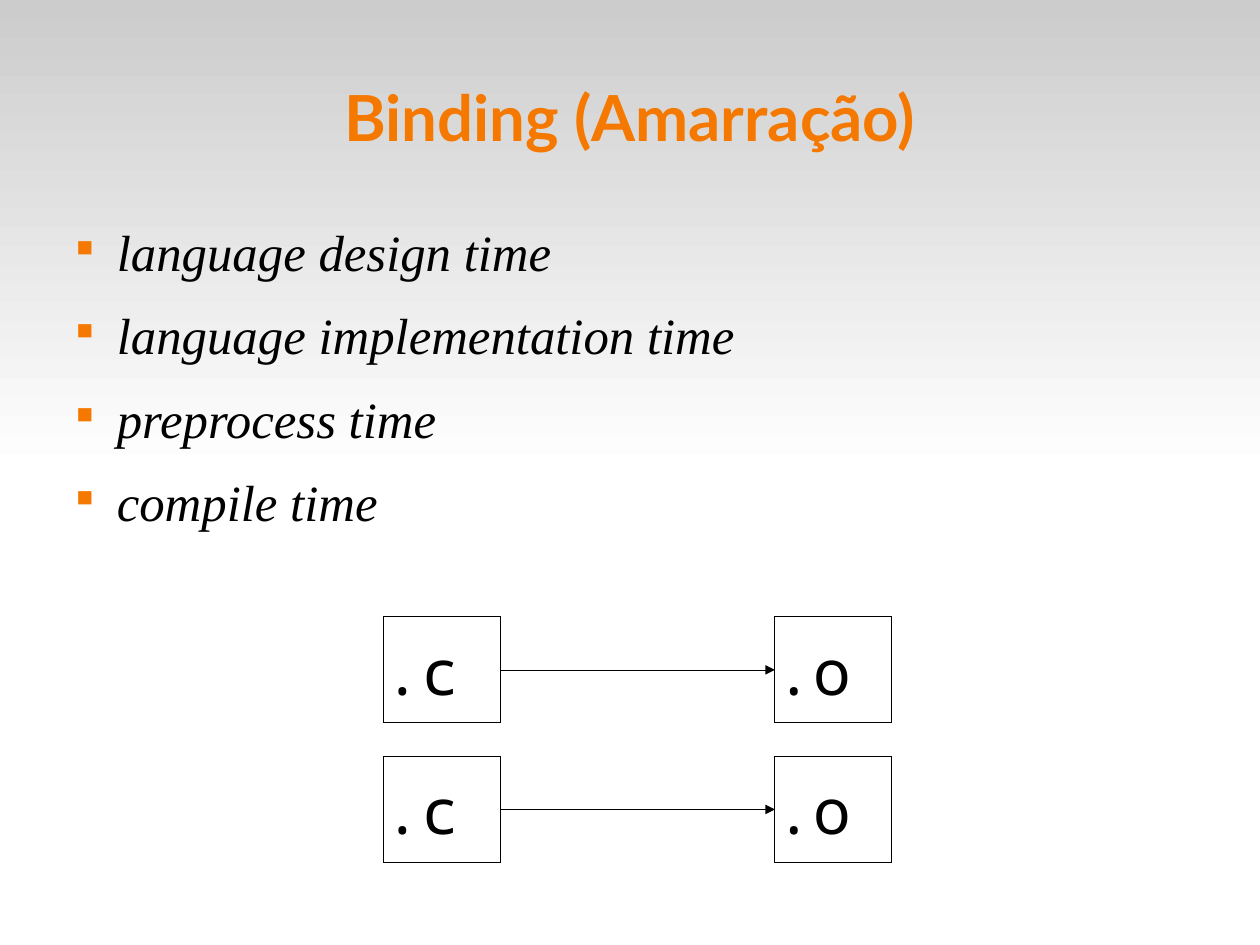
from lxml import etree
from pptx import Presentation
from pptx.dml.color import RGBColor
from pptx.enum import shapes, text
from pptx.oxml.ns import qn
from pptx.util import Pt

# Content
TITLE = "Binding (Amarração)"
TIMES = ["language design time", "language implementation time",
         "preprocess time", "compile time"]
FILES = (".c", ".o")
ORANGE, BLACK, WHITE, GREY = "F57900", "000000", "FFFFFF", "CCCCCC"

# Layout in points
PAGE_W, PAGE_H = 793.75, 595.25
MARGIN, TEXT_W = 39.6, 714.3
FILE_X, FILE_Y = (241.6, 488.2), (388.5, 476.4)
FILE_W, FILE_H = 73.7, 66.9


def colour(value):
    return RGBColor.from_string(value)


def style(para, font, size, ink, bold=False, italic=False):
    for span in para.runs:
        span.font.name, span.font.size = font, Pt(size)
        span.font.bold, span.font.italic = bold, italic
        span.font.color.rgb = colour(ink)


def set_frame(box, anchor):
    frame = box.text_frame
    frame.word_wrap = True
    frame.vertical_anchor = anchor
    frame.margin_left = frame.margin_right = Pt(0)
    frame.margin_top = frame.margin_bottom = Pt(0)
    return frame


def add_text(top, height, anchor):
    box = page.shapes.add_textbox(Pt(MARGIN), Pt(top), Pt(TEXT_W), Pt(height))
    return set_frame(box, anchor)


def add_rect(left, top, width, height):
    box = page.shapes.add_shape(shapes.MSO_SHAPE.RECTANGLE,
                                Pt(left), Pt(top), Pt(width), Pt(height))
    box.shadow.inherit = False
    return box


def add_bullet(para):
    props = para._p.get_or_add_pPr()
    props.set("marL", str(Pt(34)))
    props.set("indent", str(-Pt(25.5)))
    ink = etree.SubElement(props, qn("a:buClr"))
    etree.SubElement(ink, qn("a:srgbClr"), val=ORANGE)
    etree.SubElement(props, qn("a:buSzPct"), val="45000")
    etree.SubElement(props, qn("a:buChar"), char="■")


def set_hairline(shape):
    shape.line.color.rgb = colour(BLACK)
    line = shape._element.spPr.find(qn("a:ln"))
    line.set("w", "0")  # an explicit zero overrides the theme width
    return line


def add_file(left, top, name):
    box = add_rect(left, top, FILE_W, FILE_H)
    box.fill.solid()
    box.fill.fore_color.rgb = colour(WHITE)
    set_hairline(box)
    para = set_frame(box, text.MSO_ANCHOR.MIDDLE).paragraphs[0]
    para.text = name
    para.alignment = text.PP_ALIGN.LEFT
    style(para, "Noto Sans Mono", 40, BLACK)
    return box


def add_arrow(source, target):
    arrow = page.shapes.add_connector(shapes.MSO_CONNECTOR.STRAIGHT, 0, 0, 0, 0)
    arrow.begin_connect(source, 3)
    arrow.end_connect(target, 1)
    etree.SubElement(set_hairline(arrow), qn("a:tailEnd"), type="triangle")
    etree.SubElement(arrow._element.spPr, qn("a:effectLst"))


deck = Presentation()
deck.slide_width, deck.slide_height = Pt(PAGE_W), Pt(PAGE_H)
page = deck.slides.add_slide(deck.slide_layouts[6])

# Grey fade over the top half
fade = add_rect(0, 0, PAGE_W, PAGE_H / 2)
fade.line.fill.background()
fade.fill.gradient()
fade.fill.gradient_angle = 270
for stop, ink, place in zip(fade.fill.gradient_stops, (GREY, WHITE), (0, 1)):
    stop.color.rgb = colour(ink)
    stop.position = place

# Title
heading = add_text(23.5, 99.2, text.MSO_ANCHOR.MIDDLE).paragraphs[0]
heading.text = TITLE
heading.alignment = text.PP_ALIGN.CENTER
style(heading, "Lato", 40, ORANGE, bold=True)

# Binding times
body = add_text(138.96, 393.12, text.MSO_ANCHOR.TOP)
body.text = "\n".join(TIMES)
for para in body.paragraphs:
    para.space_after = Pt(14.2)
    add_bullet(para)
    style(para, "Times New Roman", 32, BLACK, italic=True)

# Source files compiled to object files
for top in FILE_Y:
    source, target = [add_file(left, top, name)
                      for left, name in zip(FILE_X, FILES)]
    add_arrow(source, target)

deck.save("out.pptx")
